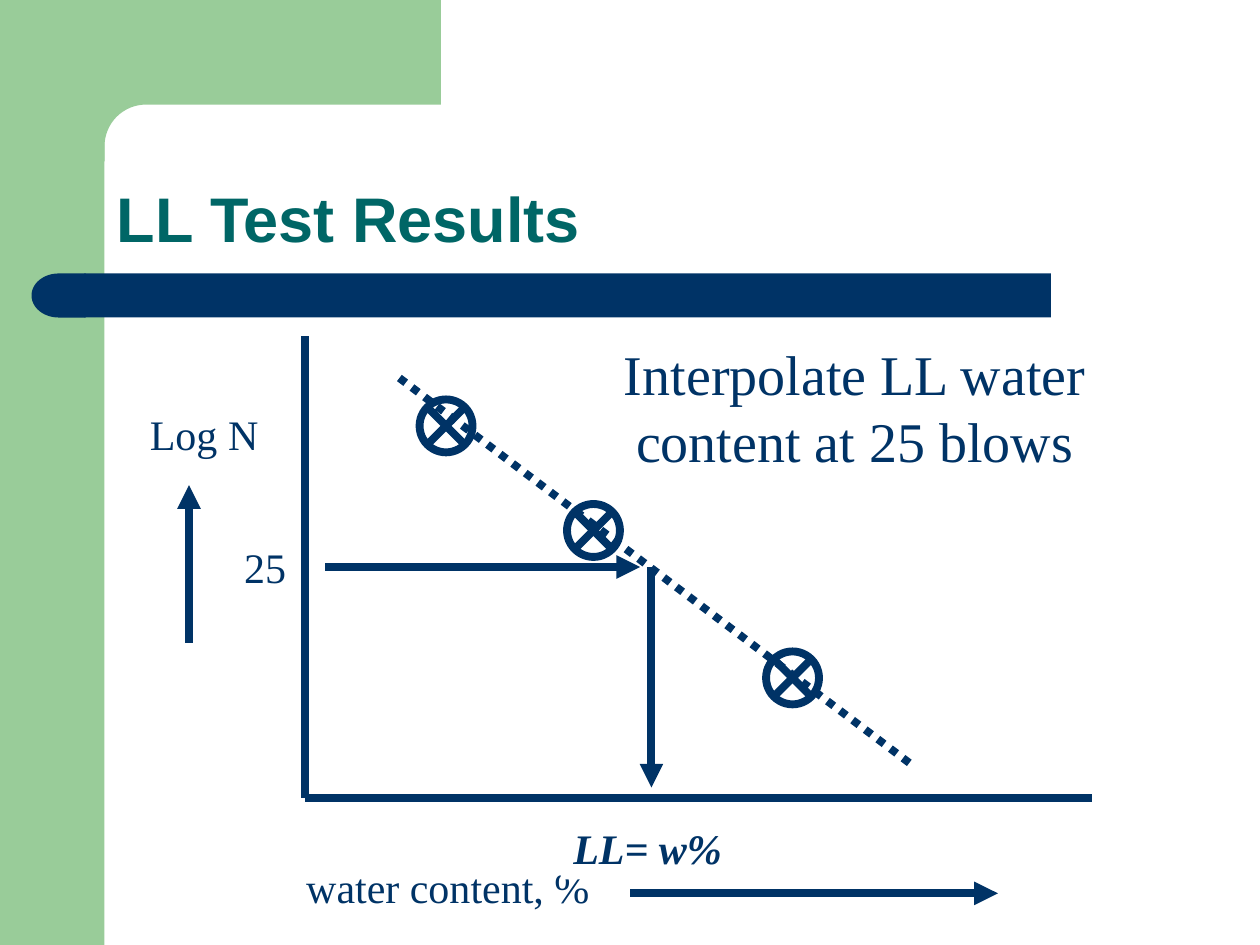
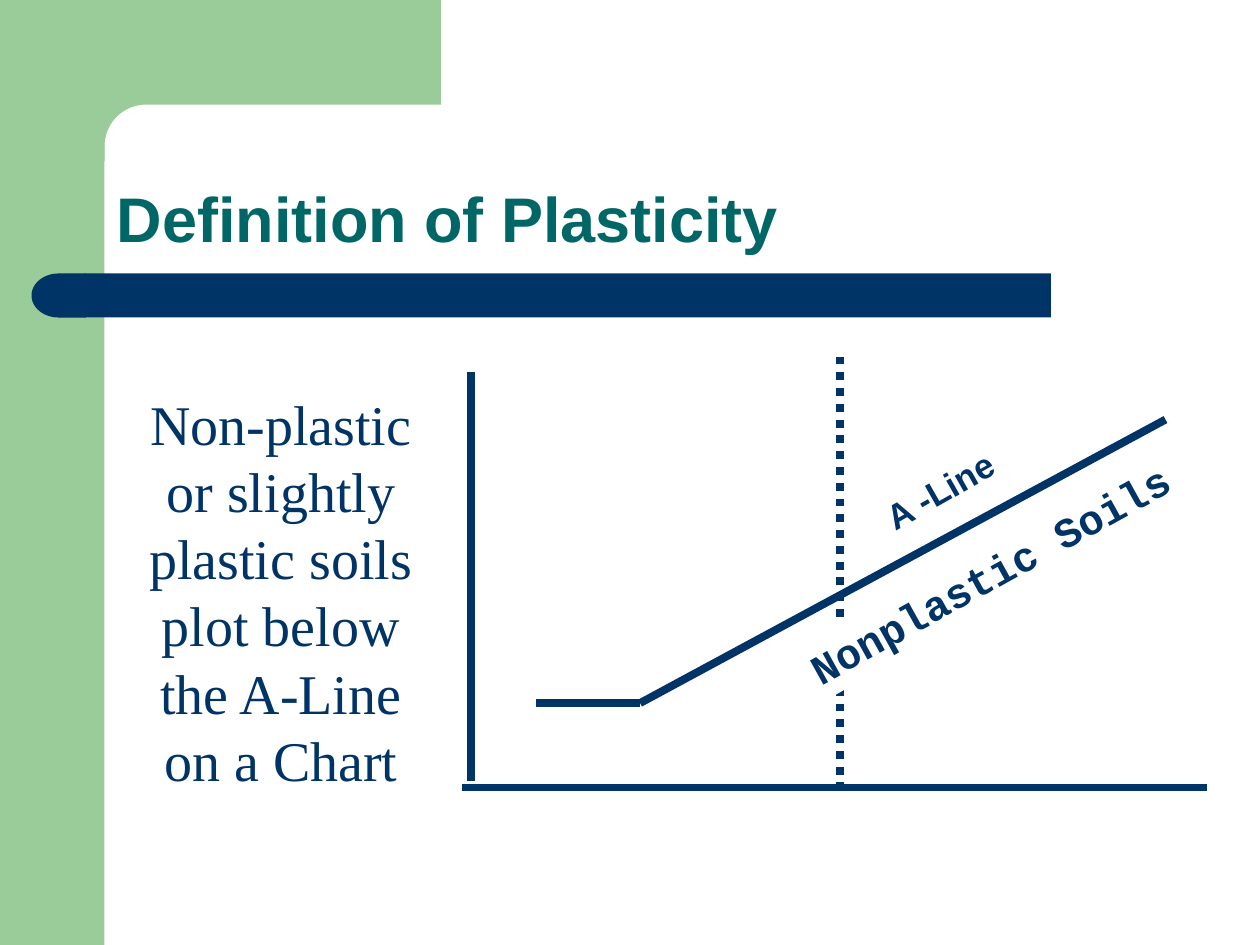
import math

from lxml import etree
from pptx import Presentation
from pptx.dml.color import RGBColor
from pptx.enum.dml import MSO_LINE
from pptx.enum.shapes import MSO_CONNECTOR, MSO_SHAPE
from pptx.enum.text import MSO_ANCHOR, PP_ALIGN
from pptx.oxml.ns import qn
from pptx.util import Inches, Pt

# Shared look
GREEN, NAVY, TEAL, WHITE = "99CC99", "003366", "006666", "FFFFFF"
SANS, SERIF, MONO = "Arial", "Times New Roman", "Courier New"
LINE_WIDTH = 4.5

RECT = MSO_SHAPE.RECTANGLE
DELAY = MSO_SHAPE.FLOWCHART_DELAY
JUNCTION = MSO_SHAPE.FLOWCHART_SUMMING_JUNCTION
STRAIGHT = MSO_CONNECTOR.STRAIGHT
DOTTED = MSO_LINE.ROUND_DOT  # written as sysDot
LEFT, CENTER = PP_ALIGN.LEFT, PP_ALIGN.CENTER
TOP, MIDDLE, BOTTOM = MSO_ANCHOR.TOP, MSO_ANCHOR.MIDDLE, MSO_ANCHOR.BOTTOM


def rgb(color):
    return RGBColor.from_string(color)


def paint(sp, fill, line=None):
    sp.shadow.inherit = False
    sp.fill.solid()
    sp.fill.fore_color.rgb = rgb(fill)
    if line:
        sp.line.color.rgb = rgb(line)
        sp.line.width = Pt(LINE_WIDTH)
    else:
        sp.line.fill.background()


def add_block(s, kind, box, fill, line=None):
    sp = s.shapes.add_shape(kind, *map(Inches, box))
    paint(sp, fill, line)
    return sp


def add_text(s, text, box, size=24, font=SERIF, color=NAVY, bold=False,
             italic=False, align=CENTER, anchor=MIDDLE, wrap=True,
             fill=None, rotation=0, spacing=None):
    if fill:
        sp = add_block(s, RECT, box, fill)
    else:
        sp = s.shapes.add_textbox(*map(Inches, box))
    sp.rotation = rotation
    tf = sp.text_frame
    tf.word_wrap = wrap
    tf.vertical_anchor = anchor
    p = tf.paragraphs[0]
    p.alignment = align
    if spacing:
        p.line_spacing = spacing
    r = p.add_run()
    r.text = text
    r.font.name = font
    r.font.size = Pt(size)
    r.font.bold = bold
    r.font.italic = italic
    r.font.color.rgb = rgb(color)


def add_line(s, start, end, dotted=False, arrow=False):
    cxn = s.shapes.add_connector(STRAIGHT, *map(Inches, (*start, *end)))
    cxn.line.color.rgb = rgb(NAVY)
    cxn.line.width = Pt(LINE_WIDTH)
    if dotted:
        cxn.line.dash_style = DOTTED
    sp_pr = cxn._element.spPr
    if arrow:
        etree.SubElement(sp_pr.find(qn("a:ln")), qn("a:tailEnd"), type="triangle")
    etree.SubElement(sp_pr, qn("a:effectLst"))


def add_corner(s):
    # Green top band whose inner corner is a quarter circle
    center, radius, steps = 1.16, 0.33, 16
    angles = [math.pi / 2 * i / steps for i in range(steps + 1)]
    arc = [(center - radius * math.sin(a), center - radius * math.cos(a))
           for a in angles]
    points = [(3.5, 0), (3.5, 0.83), *arc, (0.83, 1.28), (0.5, 1.28), (0.5, 0)]
    points = [(Inches(x), Inches(y)) for x, y in points]
    builder = s.shapes.build_freeform(*points[0])
    builder.add_line_segments(points[1:], close=True)
    paint(builder.convert_to_shape(), GREEN)


def add_base_slide(prs, title):
    s = prs.slides.add_slide(prs.slide_layouts[6])
    add_block(s, RECT, (0, 0, 0.83, 7.5), GREEN)
    add_corner(s)
    # Title bar with a round left end
    add_block(s, RECT, (0.67, 2.17, 7.67, 0.35), NAVY)
    add_block(s, DELAY, (0.25, 2.17, 0.43, 0.35), NAVY).rotation = 180
    add_text(s, title, (0.83, 0.83, 8.67, 1.25), 36, SANS, TEAL, bold=True,
             align=LEFT, anchor=BOTTOM, spacing=0.9)
    return s


def build_test_results(prs):
    s = add_base_slide(prs, "LL Test Results")
    # Axes and their labels
    origin = (2.42, 6.33)
    add_line(s, (2.42, 2.67), origin)
    add_line(s, origin, (8.67, 6.33))
    add_text(s, "Log N", (1.09, 3.19, 1.06, 0.5), wrap=False)
    add_text(s, "water content, %", (2.33, 6.79, 2.45, 0.5), wrap=False)
    # Test points and fitted line
    for x, y in ((3.33, 3.17), (4.5, 4), (6.08, 5.17)):
        add_block(s, JUNCTION, (x, y, 0.42, 0.42), WHITE, NAVY)
    add_line(s, (3.17, 3), (7.25, 6.08), dotted=True)
    # Reading at 25 blows
    add_line(s, (5.17, 4.5), (5.17, 6.25), arrow=True)
    add_text(s, "LL= w%", (4.45, 6.48, 1.38, 0.5), bold=True, italic=True,
             fill=WHITE)
    add_text(s, "25", (1.84, 4.25, 0.53, 0.5), wrap=False)
    add_line(s, (2.58, 4.5), (5.08, 4.5), arrow=True)
    # Axis directions
    add_line(s, (5, 7.09), (7.92, 7.09), arrow=True)
    add_line(s, (1.5, 5.1), (1.5, 3.85), arrow=True)
    add_text(s, "Interpolate LL water content at 25 blows",
             (4.55, 2.64, 4.47, 1.17), 32)


def build_plasticity(prs):
    s = add_base_slide(prs, "Definition of Plasticity")
    # Axes
    add_line(s, (3.74, 2.95), (3.74, 6.2))
    add_line(s, (3.67, 6.25), (9.58, 6.25))
    # A-Line and the dotted limit
    bend = (5.08, 5.58)
    add_line(s, (4.25, 5.58), bend)
    add_line(s, bend, (9.25, 3.33))
    add_line(s, (6.67, 2.83), (6.67, 6.25), dotted=True)
    # Labels
    add_text(s, "Non-plastic or slightly plastic soils plot below "
             "the A-Line on a Chart", (0.98, 3.04, 2.5, 3.3), 32)
    add_text(s, "Nonplastic Soils", (5.7, 4.3, 4.3, 0.5), font=MONO, bold=True,
             fill=WHITE, rotation=330.9)
    add_text(s, "A -Line", (6.89, 3.67, 1.15, 0.43), 20, SANS, bold=True,
             align=LEFT, anchor=TOP, wrap=False, rotation=330.4)


def main():
    prs = Presentation()
    prs.slide_width, prs.slide_height = Inches(10), Inches(7.5)
    build_test_results(prs)
    build_plasticity(prs)
    prs.save("out.pptx")


if __name__ == "__main__":
    main()
